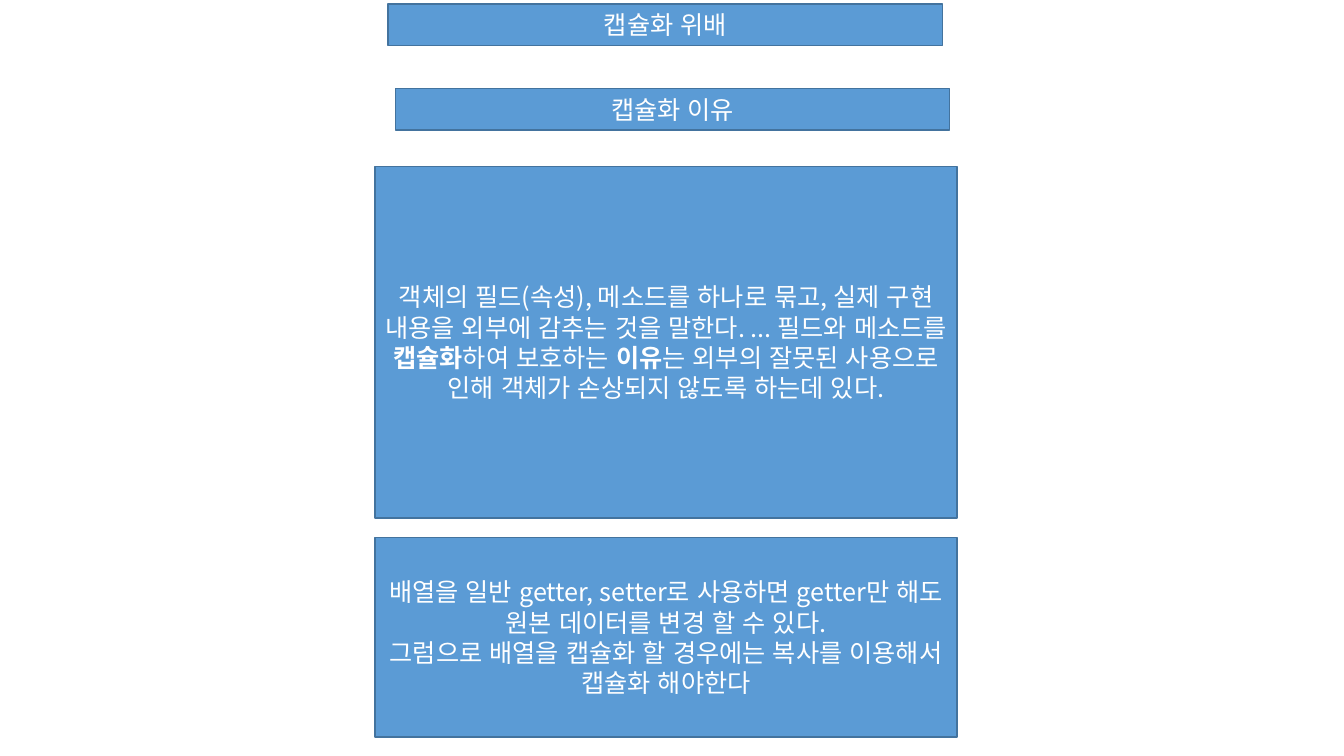
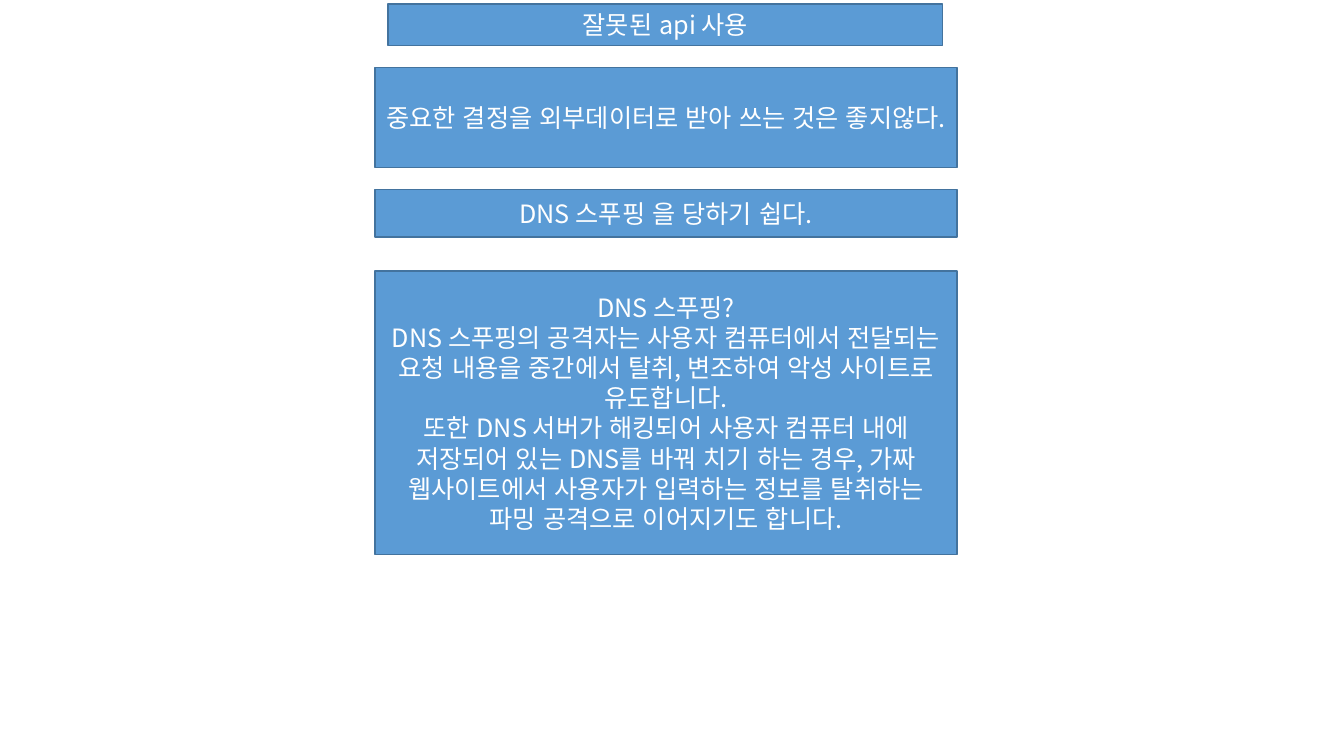
from dataclasses import dataclass

from lxml import etree
from pptx import Presentation
from pptx.dml.color import RGBColor
from pptx.enum.lang import MSO_LANGUAGE_ID
from pptx.enum.shapes import MSO_SHAPE
from pptx.enum.text import MSO_ANCHOR, MSO_AUTO_SIZE, PP_ALIGN
from pptx.oxml.ns import qn
from pptx.util import Inches, Pt

RECTANGLE = MSO_SHAPE.RECTANGLE
MIDDLE = MSO_ANCHOR.MIDDLE
NO_FIT = MSO_AUTO_SIZE.NONE
CENTER = PP_ALIGN.CENTER
KOREAN = MSO_LANGUAGE_ID.KOREAN
TITLE_ONLY = 5


@dataclass(frozen=True)
class Theme:
    fill: RGBColor = RGBColor(0x5B, 0x9B, 0xD5)
    border: RGBColor = RGBColor(0x43, 0x73, 0x9E)
    text: RGBColor = RGBColor(0xFF, 0xFF, 0xFF)
    font: str = "Noto Sans CJK KR"
    size: Pt = Pt(18)
    border_width: Pt = Pt(1)
    side_margin: Inches = Inches(0.1)
    edge_margin: Inches = Inches(0.05)


@dataclass(frozen=True)
class Box:
    left: float
    top: float
    width: float
    height: float

    def share(self, left, top, width, height):
        return Box(
            self.left + self.width * left / 100,
            self.top + self.height * top / 100,
            self.width * width / 100,
            self.height * height / 100,
        )


THEME = Theme()
PAGE = Box(0, 0, Inches(13.33), Inches(7.5))
HEADING_WIDTH, HEADING_HEIGHT = 41.26, 5.47
TITLE_BOX = PAGE.share(28.88, 0.53, HEADING_WIDTH, HEADING_HEIGHT)
COLUMN = PAGE.share(27.91, 0, 43.29, 100)


def write_run(paragraph, text, bold=False):
    run = paragraph.add_run()
    run.text = text
    font = run.font
    font.name, font.size, font.bold = THEME.font, THEME.size, bold
    font.color.rgb = THEME.text
    font.language_id = KOREAN
    latin = run._r.get_or_add_rPr().find(qn("a:latin"))
    east_asian = etree.Element(qn("a:ea"), typeface=THEME.font)
    latin.addnext(east_asian)


def dress_panel(panel, box, paragraphs):
    panel.left, panel.top = round(box.left), round(box.top)
    panel.width, panel.height = round(box.width), round(box.height)
    panel.fill.solid()
    panel.fill.fore_color.rgb = THEME.fill
    panel.line.color.rgb = THEME.border
    panel.line.width = THEME.border_width
    frame = panel.text_frame
    frame.word_wrap = True
    frame.auto_size = NO_FIT
    frame.vertical_anchor = MIDDLE
    frame.margin_left = frame.margin_right = THEME.side_margin
    frame.margin_top = frame.margin_bottom = THEME.edge_margin
    for index, runs in enumerate(paragraphs):
        paragraph = frame.add_paragraph() if index else frame.paragraphs[0]
        paragraph.alignment = CENTER
        for run in runs:
            write_run(paragraph, *run)


def add_panel(slide, box, *paragraphs):
    panel = slide.shapes.add_shape(RECTANGLE, 0, 0, 0, 0)
    panel.shadow.inherit = False
    dress_panel(panel, box, paragraphs)


def add_titled_slide(deck, title):
    slide = deck.slides.add_slide(deck.slide_layouts[TITLE_ONLY])
    dress_panel(slide.shapes.title, TITLE_BOX, [[(title,)]])
    return slide


def build_encapsulation(deck):
    slide = add_titled_slide(deck, "캡슐화 위배")
    reason_box = PAGE.share(29.41, 11.73, HEADING_WIDTH, HEADING_HEIGHT)
    add_panel(slide, reason_box, [("캡슐화 이유",)])
    add_panel(
        slide,
        COLUMN.share(0, 22, 100, 46.53),
        [
            ("객체의 필드(속성), 메소드를 하나로 묶고, 실제 구현 내용을 외부에 "
             "감추는 것을 말한다. ... 필드와 메소드를 ",),
            ("캡슐화", True),
            ("하여 보호하는 ",),
            ("이유", True),
            ("는 외부의 잘못된 사용으로 인해 객체가 손상되지 않도록 하는데 있다.",),
        ],
    )
    add_panel(
        slide,
        COLUMN.share(0, 71.07, 100, 26.4),
        [("배열을 일반 getter, setter로 사용하면 getter만 해도 원본 데이터를 "
          "변경 할 수 있다.",)],
        [("그럼으로 배열을 캡슐화 할 경우에는 복사를 이용해서 캡슐화 해야한다",)],
    )


def build_api_misuse(deck):
    slide = add_titled_slide(deck, "잘못된 api 사용")
    add_panel(
        slide,
        COLUMN.share(0, 8.93, 100, 13.2),
        [("중요한 결정을 외부데이터로 받아 쓰는 것은 좋지않다.",)],
    )
    add_panel(
        slide,
        COLUMN.share(0, 25.07, 100, 6.27),
        [("DNS 스푸핑 을 당하기 쉽다.",)],
    )
    add_panel(
        slide,
        COLUMN.share(0, 35.87, 100, 37.47),
        [("DNS 스푸핑?",)],
        [("DNS 스푸핑의 공격자는 사용자 컴퓨터에서 전달되는 요청 내용을 "
          "중간에서 탈취, 변조하여 악성 사이트로 유도합니다.",)],
        [("또한 DNS 서버가 해킹되어 사용자 컴퓨터 내에 저장되어 있는 DNS를 "
          "바꿔 치기 하는 경우, 가짜 웹사이트에서 사용자가 입력하는 정보를 "
          "탈취하는 파밍 공격으로 이어지기도 합니다.",)],
    )


def main():
    deck = Presentation()
    deck.slide_width, deck.slide_height = PAGE.width, PAGE.height
    build_encapsulation(deck)
    build_api_misuse(deck)
    deck.save("out.pptx")


if __name__ == "__main__":
    main()
